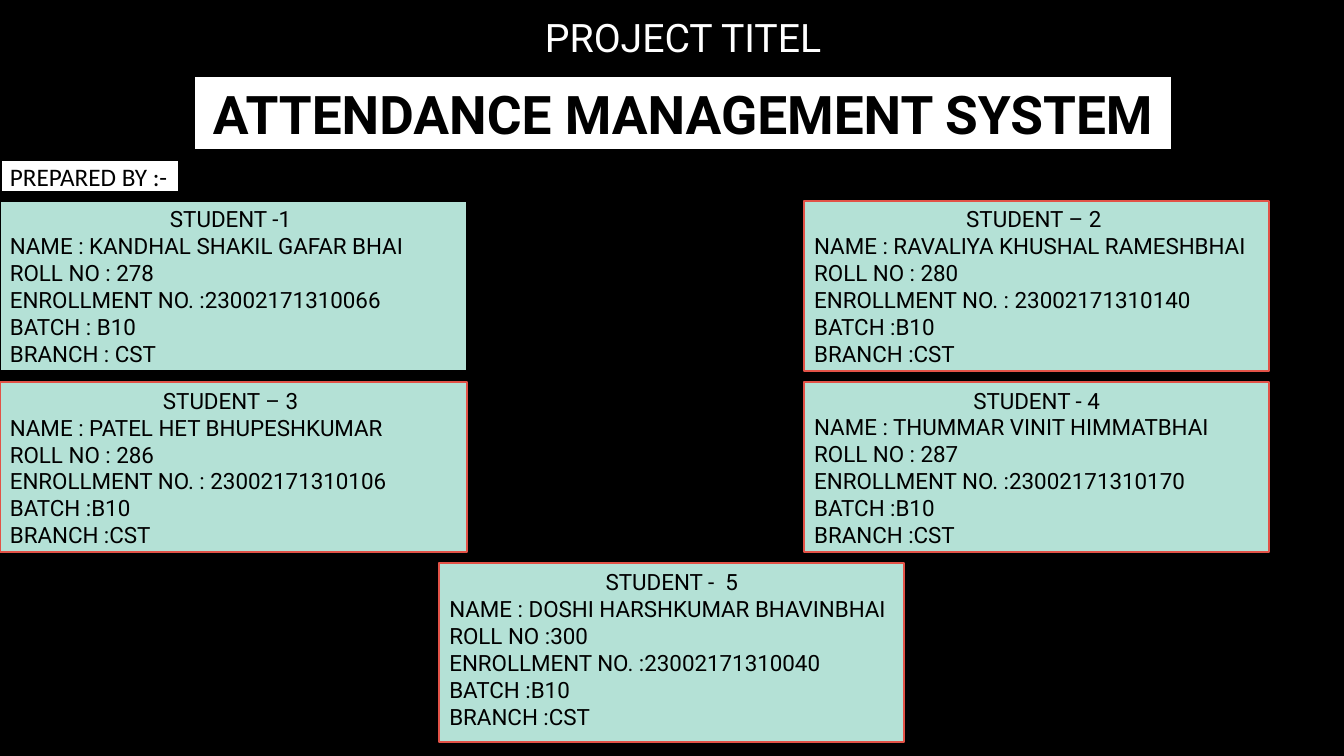
from pptx import Presentation
from pptx.dml.color import RGBColor
from pptx.enum.shapes import MSO_SHAPE
from pptx.enum.text import MSO_ANCHOR, PP_ALIGN
from pptx.util import Pt

RECTANGLE = MSO_SHAPE.RECTANGLE
TOP, MIDDLE = MSO_ANCHOR.TOP, MSO_ANCHOR.MIDDLE
LEFT, CENTER, JUSTIFY = PP_ALIGN.LEFT, PP_ALIGN.CENTER, PP_ALIGN.JUSTIFY

COLORS = {"black": "000000", "white": "FFFFFF", "mint": "B4E1D6", "red": "E25247"}

presentation = Presentation()
presentation.slide_width = Pt(960)
presentation.slide_height = Pt(540)
slide = presentation.slides.add_slide(presentation.slide_layouts[6])
slide.background.fill.solid()
slide.background.fill.fore_color.rgb = RGBColor.from_string(COLORS["black"])


def add_box(left, top, width, height, fill, line, line_width):
    shape = slide.shapes.add_shape(RECTANGLE, Pt(left), Pt(top), Pt(width), Pt(height))
    shape.shadow.inherit = False
    shape.fill.solid()
    shape.fill.fore_color.rgb = RGBColor.from_string(COLORS[fill])
    shape.line.color.rgb = RGBColor.from_string(COLORS[line])
    shape.line.width = Pt(line_width)
    return shape


def write_text(shape, text, size, font="Roboto", color="black", bold=False,
               first_align=CENTER, align=JUSTIFY, anchor=MIDDLE):
    frame = shape.text_frame
    frame.word_wrap = True
    frame.vertical_anchor = anchor
    for index, line in enumerate(text.split("\n")):
        paragraph = frame.add_paragraph() if index else frame.paragraphs[0]
        paragraph.alignment = align if index else first_align
        run = paragraph.add_run()
        run.text = line
        run.font.name = font
        run.font.size = Pt(size)
        run.font.bold = bold
        run.font.color.rgb = RGBColor.from_string(COLORS[color])


# Student cards: left, row, width, height, outline, anchor, lines
ROW_TOP, ROW_PITCH = 143.3, 129.6
students = [
    (0, 0, 333.4, 121.7, "black", TOP,
     "STUDENT -1 \nNAME : KANDHAL SHAKIL GAFAR BHAI\nROLL NO : 278\n"
     "ENROLLMENT NO. :23002171310066\nBATCH : B10\nBRANCH : CST"),
    (0, 1, 333.4, 121.7, "red", TOP,
     "STUDENT – 3 \nNAME : PATEL HET BHUPESHKUMAR\nROLL NO : 286\n"
     "ENROLLMENT NO. : 23002171310106\nBATCH :B10\nBRANCH :CST"),
    (574.5, 0, 332, 121.7, "red", TOP,
     "STUDENT – 2 \nNAME : RAVALIYA KHUSHAL RAMESHBHAI\nROLL NO : 280\n"
     "ENROLLMENT NO. : 23002171310140\nBATCH :B10\nBRANCH :CST"),
    (574.5, 1, 332, 121.7, "red", MIDDLE,
     "STUDENT - 4\nNAME : THUMMAR VINIT HIMMATBHAI\nROLL NO : 287\n"
     "ENROLLMENT NO. :23002171310170\nBATCH :B10\nBRANCH :CST"),
    (313.9, 2, 332, 127.4, "red", TOP,
     "STUDENT -  5\nNAME : DOSHI HARSHKUMAR BHAVINBHAI\nROLL NO :300 \n"
     "ENROLLMENT NO. :23002171310040\nBATCH :B10\nBRANCH :CST"),
]
for left, row, width, height, outline, anchor, text in students:
    card = add_box(left, ROW_TOP + row * ROW_PITCH, width, height, "mint", outline, 1.5)
    write_text(card, text, 16, anchor=anchor)

# Headings
heading = add_box(333.4, 0.7, 308.9, 51.1, "black", "black", 3)
write_text(heading, "PROJECT TITEL", 28, color="white")

title = add_box(137.7, 53.2, 700.6, 54.7, "white", "black", 3)
write_text(title, "ATTENDANCE MANAGEMENT SYSTEM", 38, bold=True)

# Authors label
label = add_box(0, 113.3, 128.9, 24.5, "white", "black", 3)
write_text(label, "PREPARED BY :-", 18, font="Calibri", first_align=LEFT)
label_paragraph = label.text_frame.paragraphs[0]
label_paragraph.line_spacing = 1.07
label_paragraph.space_after = Pt(8)

presentation.save("out.pptx")
